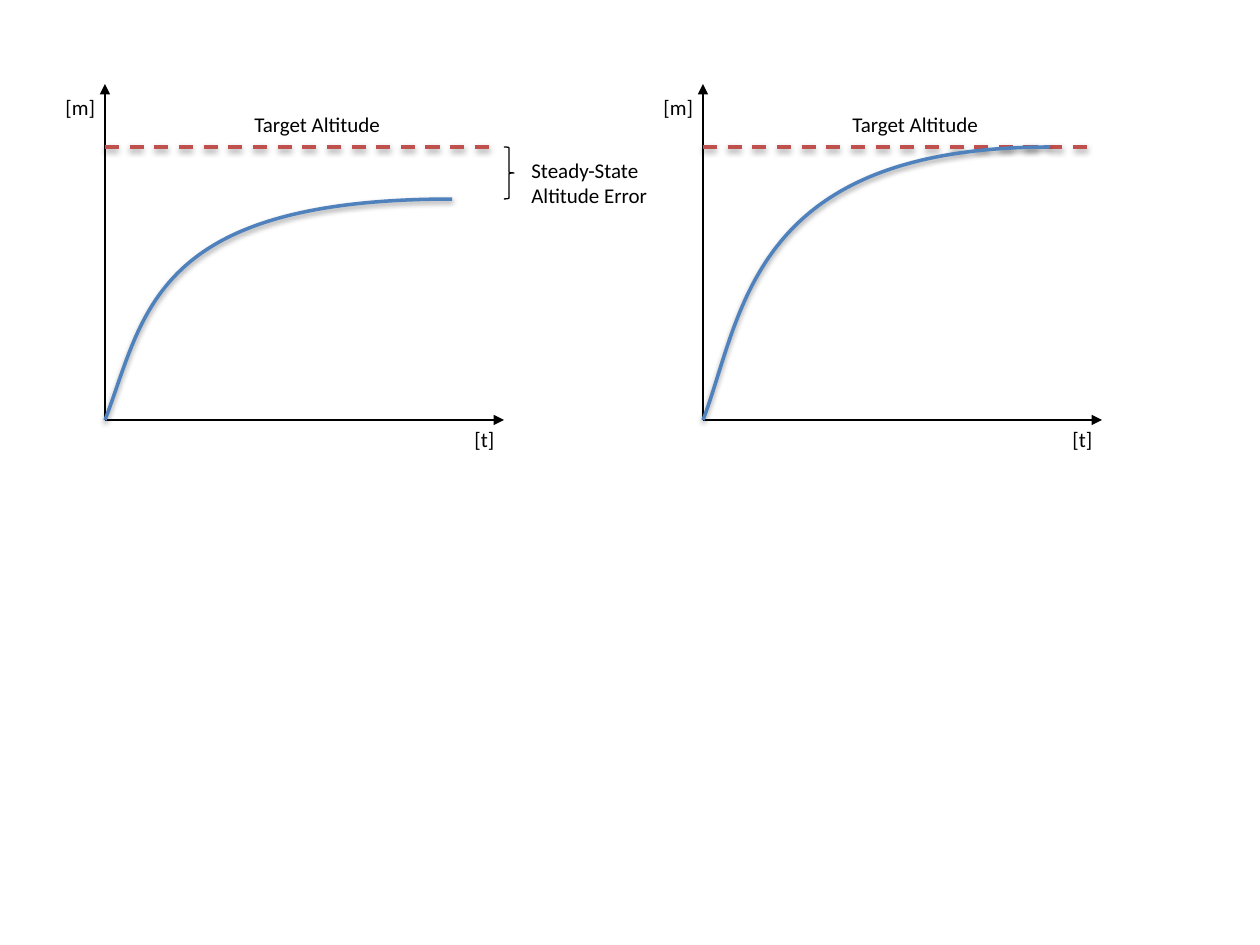
import pptx
import pptx.dml.color
import pptx.enum.dml
import pptx.enum.shapes
import pptx.enum.text
import pptx.oxml
import pptx.oxml.ns
import pptx.util
from lxml import etree

PX = 914400 / 126
qn = pptx.oxml.ns.qn
rgb = pptx.dml.color.RGBColor.from_string


def outline(sp, color, width, shadow=False):
    sp.line.color.rgb = rgb(color)
    sp.line.width = pptx.util.Pt(width)
    effects = etree.SubElement(sp._element.spPr, qn("a:effectLst"))
    if shadow:
        outer = etree.SubElement(effects, qn("a:outerShdw"), blurRad="40000", dist="20000",
                                 dir="5400000", rotWithShape="0")
        black = etree.SubElement(outer, qn("a:srgbClr"), val="000000")
        etree.SubElement(black, qn("a:alpha"), val="38000")


def label(s, text, *box):
    tf = s.shapes.add_textbox(*[round(v * PX) for v in box]).text_frame
    tf.word_wrap = False
    tf.auto_size = pptx.enum.text.MSO_AUTO_SIZE.SHAPE_TO_FIT_TEXT
    tf.text = text
    fmt = {"name": "Calibri", "size": pptx.util.Pt(12)}
    for p in tf.paragraphs:
        for r in p.runs:
            for key, value in fmt.items():
                setattr(r.font, key, value)
            r.font.color.rgb = rgb("000000")


prs = pptx.Presentation()
prs.slide_width = round(1260 * PX)
prs.slide_height = round(945 * PX)
s = prs.slides.add_slide(prs.slide_layouts[6])

target, base = 147, 420
for x, final in ((105, 199), (703, target)):
    lines = (
        ((x, base, x, 84), "000000", 0.75, False),
        ((x, base, x + 399, base), "000000", 0.75, False),
        ((x, target, x + 389, target), "C0504D", 2, True),
    )
    for ends, color, width, is_target in lines:
        line = s.shapes.add_connector(pptx.enum.shapes.MSO_CONNECTOR.STRAIGHT,
                                      *[round(v * PX) for v in ends])
        outline(line, color, width, is_target)
        if is_target:
            line.line.dash_style = pptx.enum.dml.MSO_LINE.DASH
        else:
            etree.SubElement(line.line._ln, qn("a:tailEnd"), type="triangle")

    builder = s.shapes.build_freeform(x, base, scale=PX)
    builder.add_line_segments(((x + 40, 315), (x + 46, final), (x + 347, final)), close=False)
    curve = builder.convert_to_shape()
    curve.fill.background()
    outline(curve, "4F81BD", 2, True)
    outline_path = curve._element.find(".//" + qn("a:path"))
    bezier = etree.SubElement(outline_path, qn("a:cubicBezTo"))
    for segment in outline_path.findall(qn("a:lnTo")):
        bezier.append(segment[0])
        outline_path.remove(segment)

    label(s, "[t]", x + 357, base, 45, 38)
    label(s, "[m]", x - 52, 88, 55, 38)
    label(s, "Target Altitude", x + 137, 105, 152, 38)

brace = s.shapes.add_shape(pptx.enum.shapes.MSO_SHAPE.RIGHT_BRACE,
                           *[round(v * PX) for v in (504, target, 10, 52)])
brace.fill.background()
outline(brace, "000000", 0.75)
label(s, "Steady-State\nAltitude Error", 519, 151, 142, 63)

prs.save("out.pptx")
